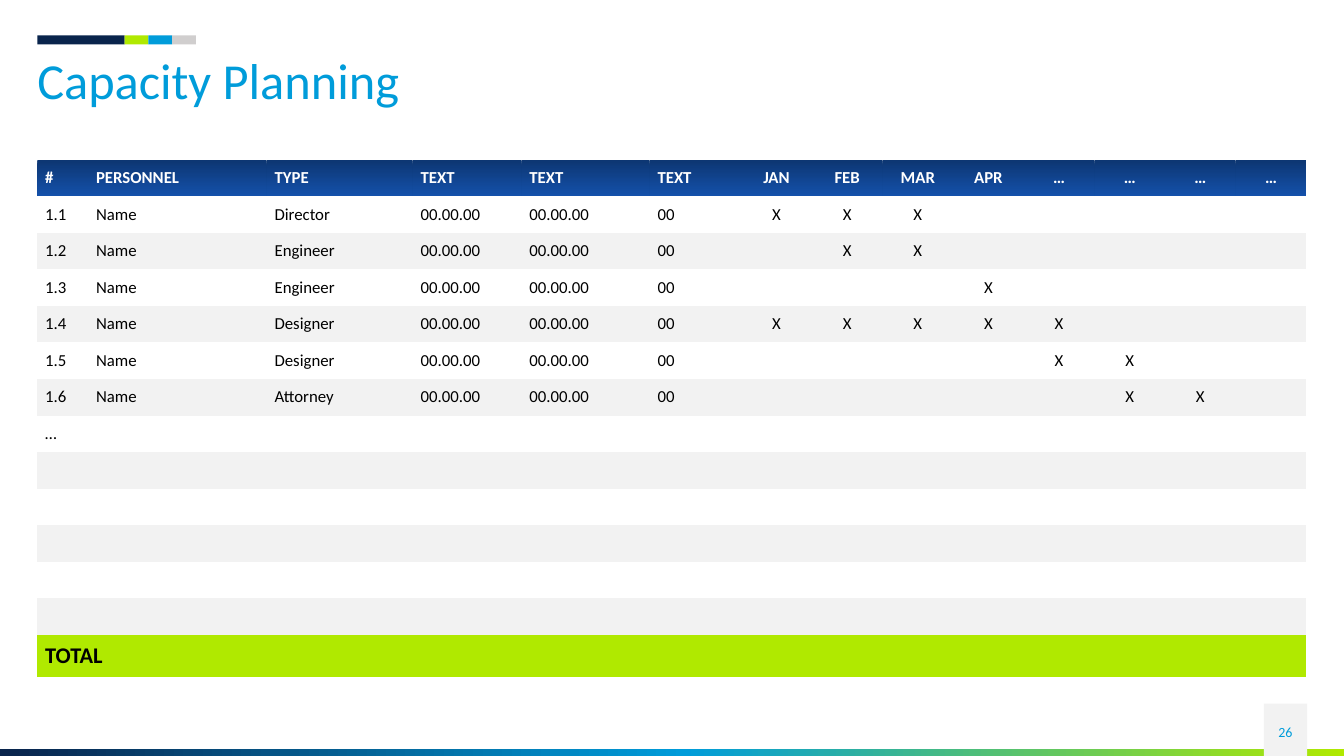
"""Build the Capacity Planning slide."""
from dataclasses import dataclass
from copy import deepcopy

from lxml.etree import SubElement
from pptx import Presentation
from pptx.dml.color import RGBColor
from pptx.enum.shapes import MSO_SHAPE
from pptx.enum.text import MSO_ANCHOR, PP_ALIGN
from pptx.oxml.ns import qn
from pptx.util import Cm, Pt


@dataclass(frozen=True)
class Theme:
    """Colours, gradients and type sizes of the slide."""
    font: str = "Calibri"
    navy: str = "09244C"
    blue: str = "009CDA"
    lime: str = "B0E900"
    silver: str = "D0CECE"
    pale: str = "F2F2F2"
    white: str = "FFFFFF"
    black: str = "000000"
    header: tuple = ((0, "0D3672"), (1, "1451AB"))
    footer: tuple = ((0, "09244C"), (0.51, "009CDA"), (1, "B0E900"))
    title_size: int = 36
    total_size: int = 16
    body_size: int = 12
    number_size: int = 10


class SlideBuilder:
    """Draw themed elements on one slide."""

    def __init__(self, slide, theme):
        """Keep the slide and its theme."""
        self.slide = slide
        self.theme = theme

    def paint(self, fill, paint, angle=0):
        """Apply no fill, a solid colour or gradient stops."""
        if paint is None:
            fill.background()
        elif isinstance(paint, str):
            fill.solid()
            fill.fore_color.rgb = RGBColor.from_string(paint)
        else:
            fill.gradient()
            fill.gradient_angle = angle
            last_stop = fill.gradient_stops[-1]._gs
            for _ in paint[2:]:
                last_stop.addnext(deepcopy(last_stop))
            for stop, (position, color) in zip(fill.gradient_stops, paint):
                stop.position = position
                stop.color.rgb = RGBColor.from_string(color)

    def add_text_run(self, paragraph, text, size, color, bold=False, align=PP_ALIGN.LEFT):
        """Add one styled run to a paragraph."""
        paragraph.alignment = align
        run = paragraph.add_run()
        run.text = text
        run.font.name = self.theme.font
        run.font.size = Pt(size)
        run.font.bold = bold
        run.font.color.rgb = RGBColor.from_string(color)

    def rectangle(self, left, top, width, height, paint):
        """Add a rectangle without outline or shadow."""
        shape = self.slide.shapes.add_shape(
            MSO_SHAPE.RECTANGLE, Cm(left), Cm(top), Cm(width), Cm(height))
        shape.shadow.inherit = False
        shape.line.fill.background()
        self.paint(shape.fill, paint)

    def text(self, left, top, width, height, text, size, align=PP_ALIGN.LEFT,
             anchor=MSO_ANCHOR.TOP, spacing=1.0):
        """Add a blue text box without insets."""
        box = self.slide.shapes.add_textbox(Cm(left), Cm(top), Cm(width), Cm(height))
        frame = box.text_frame
        frame.word_wrap = True
        frame.vertical_anchor = anchor
        frame.margin_left = frame.margin_right = 0
        frame.margin_top = frame.margin_bottom = 0
        paragraph = frame.paragraphs[0]
        paragraph.line_spacing = spacing
        self.add_text_run(paragraph, text, size, self.theme.blue, align=align)

    def cell(self, cell, text, paint, size, color, bold, align, anchor):
        """Fill a table cell and add its text."""
        self.paint(cell.fill, paint, angle=270)
        cell.margin_left = cell.margin_right = Cm(0.2)
        cell.margin_top = cell.margin_bottom = Cm(0.2)
        cell.vertical_anchor = anchor
        paragraph = cell.text_frame.paragraphs[0]
        if text:
            self.add_text_run(paragraph, text, size, color, bold, align)
        else:
            SubElement(paragraph._p, qn("a:endParaRPr"), sz=str(size * 100))

    def table(self, left, top, widths, heights, rows, centered_from):
        """Add a striped table with a header row and a total row."""
        theme = self.theme
        last = len(rows) - 1
        frame = self.slide.shapes.add_table(
            len(rows), len(widths), Cm(left), Cm(top), Cm(sum(widths)), Cm(sum(heights)))
        table = frame.table
        table.first_row = table.horz_banding = False
        style = table._tbl.tblPr.find(qn("a:tableStyleId"))
        style.text = "{2D5ABB26-0587-4C30-8999-92F81FD0307C}"
        for column, width in zip(table.columns, widths):
            column.width = Cm(width)
        for row, height in zip(table.rows, heights):
            row.height = Cm(height)
        for index, values in enumerate(rows):
            paint = None if index % 2 else theme.pale
            size, color, anchor = theme.body_size, theme.black, MSO_ANCHOR.MIDDLE
            if index == 0:
                paint, color, anchor = theme.header, theme.white, MSO_ANCHOR.BOTTOM
            elif index == last:
                paint, size = theme.lime, theme.total_size
            for column, value in enumerate(values):
                align = PP_ALIGN.CENTER if column >= centered_from else PP_ALIGN.LEFT
                self.cell(table.cell(index, column), value, paint, size, color,
                          index in (0, last), align, anchor)
        table.cell(last, 0).merge(table.cell(last, 1))


def capacity_rows():
    """Return the table text from the header to the total."""
    months = ["JAN", "FEB", "MAR", "APR"] + ["…"] * 4
    header = ["#", "PERSONNEL", "TYPE", "TEXT", "TEXT", "TEXT"] + months
    assignments = [("Director", 0, 2), ("Engineer", 1, 2), ("Engineer", 3, 3),
                   ("Designer", 0, 4), ("Designer", 4, 5), ("Attorney", 5, 6)]
    staff = [
        [f"1.{number}", "Name", role, "00.00.00", "00.00.00", "00"]
        + ["X" if first <= month <= final else "" for month in range(len(months))]
        for number, (role, first, final) in enumerate(assignments, 1)]
    labels = ["…"] + [""] * 5 + ["TOTAL"]
    return [header] + staff + [[label] + [""] * (len(header) - 1) for label in labels]


def main():
    """Build and save the presentation."""
    presentation = Presentation()
    presentation.slide_width, presentation.slide_height = Cm(33.87), Cm(19.05)
    theme = Theme()
    slide = presentation.slides.add_slide(presentation.slide_layouts[6])
    builder = SlideBuilder(slide, theme)
    margin = 0.94

    builder.rectangle(0, 18.87, 33.87, 0.18, theme.footer)
    builder.rectangle(31.85, 17.73, 1.09, 1.32, theme.pale)
    left = margin
    for width, color in ((2.2, theme.navy), (0.6, theme.lime),
                         (0.6, theme.blue), (0.6, theme.silver)):
        builder.rectangle(left, 0.89, width, 0.23, color)
        left += width

    builder.text(margin, 1.42, 32, 1.4, "Capacity Planning", theme.title_size, spacing=0.9)
    builder.text(31.85, 17.93, 1.09, 1.02, "26", theme.number_size,
                 PP_ALIGN.CENTER, MSO_ANCHOR.MIDDLE)

    widths = [1.28, 4.5, 3.68, 2.74, 3.23, 2.31] + [1.78] * 8
    rows = capacity_rows()
    heights = [0.92] * (len(rows) - 1) + [1.08]
    builder.table(margin, 4.03, widths, heights, rows, centered_from=6)
    presentation.save("out.pptx")


main()
